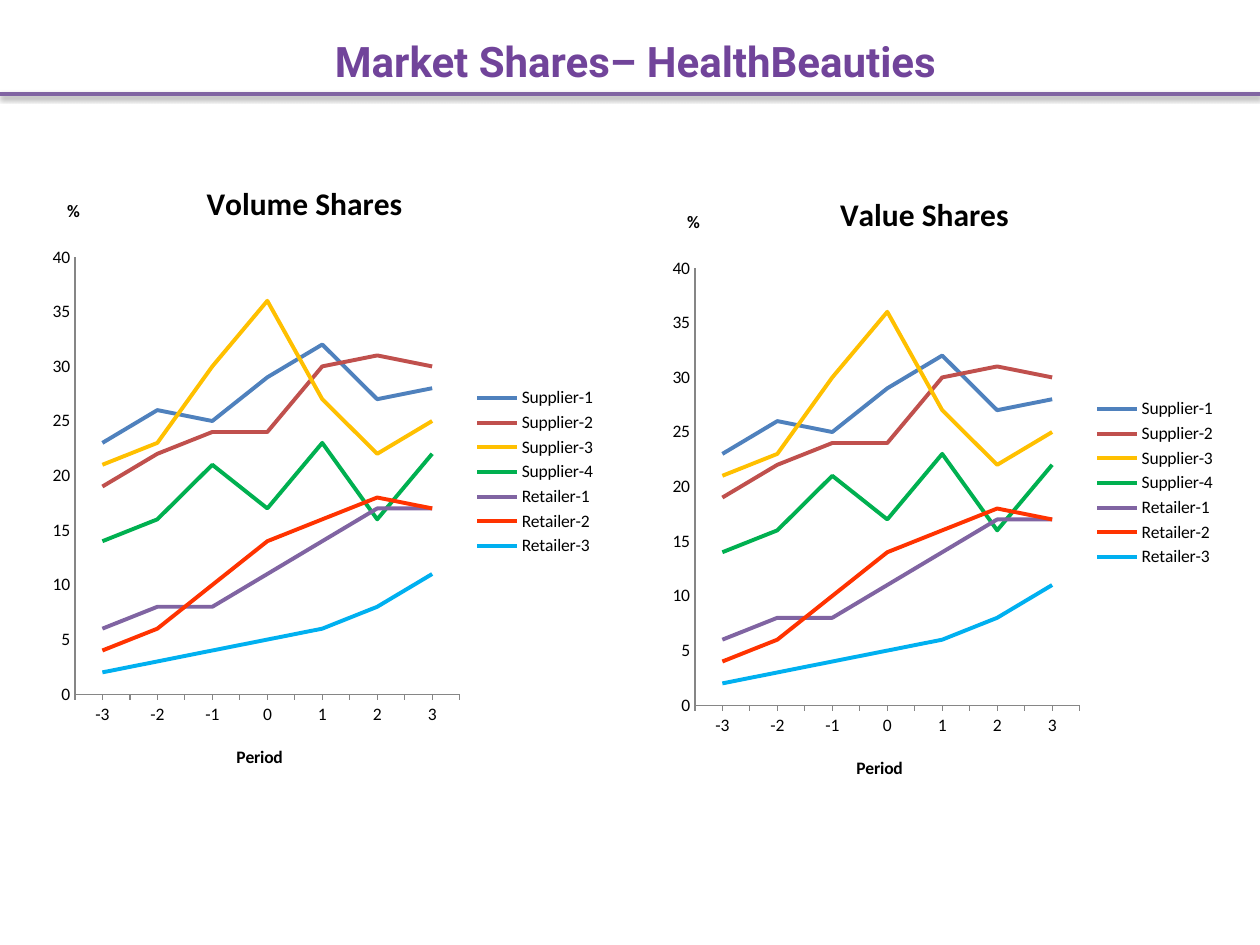
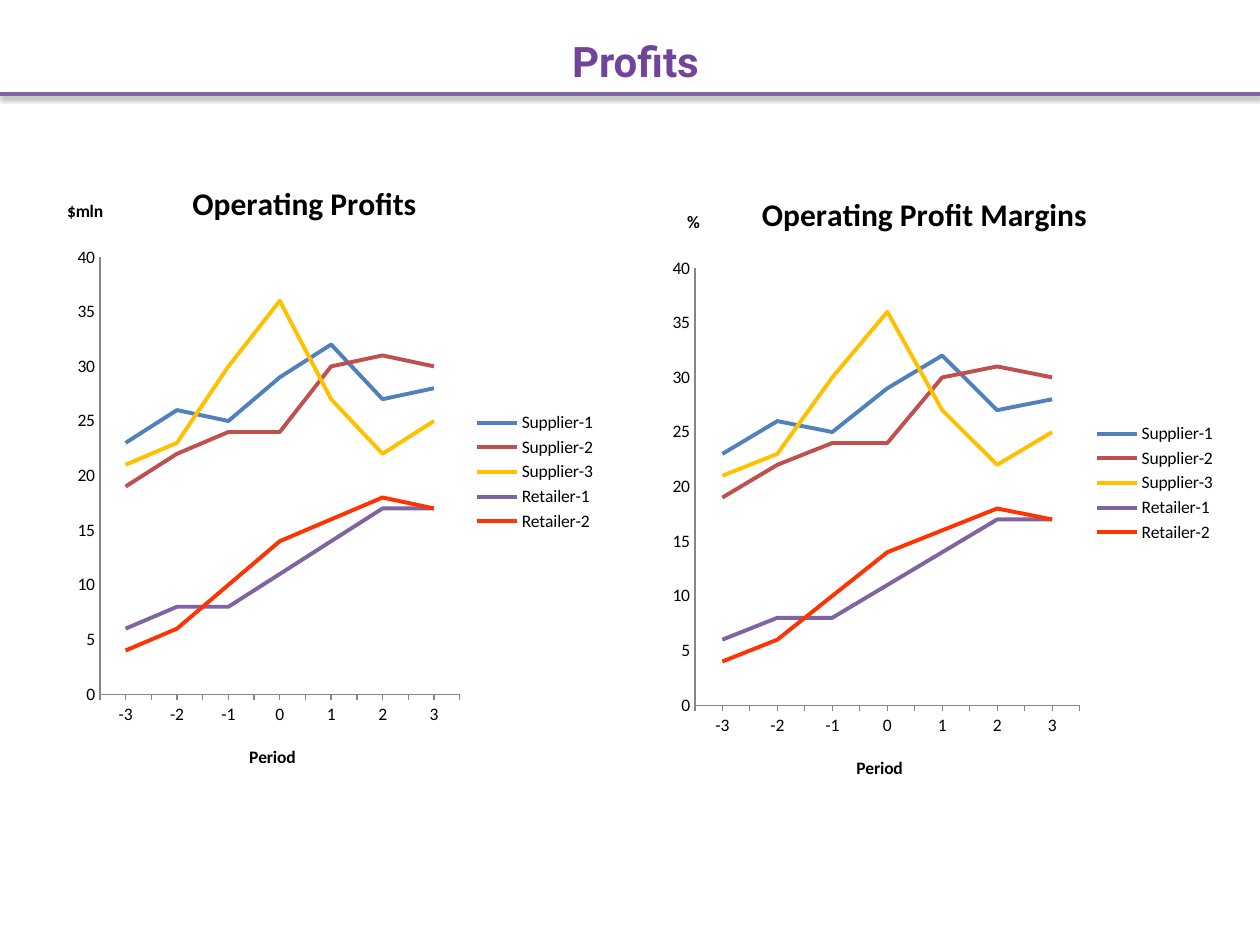
from lxml.etree import SubElement
from pptx import Presentation
from pptx.chart.data import CategoryChartData
from pptx.dml.color import RGBColor
from pptx.enum.chart import XL_CHART_TYPE, XL_LEGEND_POSITION, XL_TICK_MARK
from pptx.enum.shapes import MSO_CONNECTOR
from pptx.enum.text import MSO_ANCHOR, MSO_AUTO_SIZE, PP_ALIGN
from pptx.oxml.ns import qn
from pptx.util import Emu, Pt

PIXEL = 914400 // 126
SLIDE_W, SLIDE_H = 1260, 945

TITLE_PURPLE = RGBColor(0x71, 0x44, 0x9A)
RULE_PURPLE = RGBColor(0x80, 0x64, 0xA2)
AXIS_GREY = RGBColor(0x86, 0x86, 0x86)
BLACK = RGBColor(0, 0, 0)

PERIODS = [str(period) for period in range(-3, 4)]
SHARES = {
    "Supplier-1": (RGBColor(0x4F, 0x81, 0xBD), (23, 26, 25, 29, 32, 27, 28)),
    "Supplier-2": (RGBColor(0xC0, 0x50, 0x4D), (19, 22, 24, 24, 30, 31, 30)),
    "Supplier-3": (RGBColor(0xFF, 0xC0, 0x00), (21, 23, 30, 36, 27, 22, 25)),
    "Supplier-4": (RGBColor(0x00, 0xB0, 0x50), (14, 16, 21, 17, 23, 16, 22)),
    "Retailer-1": (RULE_PURPLE, (6, 8, 8, 11, 14, 17, 17)),
    "Retailer-2": (RGBColor(0xFF, 0x33, 0x00), (4, 6, 10, 14, 16, 18, 17)),
    "Retailer-3": (RGBColor(0x00, 0xB0, 0xF0), (2, 3, 4, 5, 6, 8, 11)),
}
PROFITS = {name: line for name, line in SHARES.items()
           if name not in ("Supplier-4", "Retailer-3")}

TITLE_BOX = (21, 6, 1229, 110)
LEFT_BOX = (0, 157, 609, 630)
RIGHT_BOX = (620, 168, 609, 630)
RULE_TOP = 94
PLOT_TOP, PLOT_RIGHT, PLOT_H = 100, 460, 437


def px(length):
    """Turn picture pixels into EMU."""
    return Emu(length * PIXEL)


def set_layout(element, index, box, **measures):
    """Give a chart part a manual layout; measures are pixels inside the box."""
    for old in element.findall(qn("c:layout")):
        element.remove(old)
    layout = element.makeelement(qn("c:layout"))
    element.insert(index, layout)
    manual = SubElement(layout, qn("c:manualLayout"))
    if "w" in measures:
        SubElement(manual, qn("c:layoutTarget")).set("val", "inner")
    for mode in ("xMode", "yMode"):
        SubElement(manual, qn("c:" + mode)).set("val", "edge")
    for key, pixels in measures.items():
        whole = box[2] if key in "xw" else box[3]
        SubElement(manual, qn("c:" + key)).set("val", f"{pixels / whole:.3f}")


def write_title(text_frame, text, size):
    """Write a bold black chart or axis title."""
    text_frame.text = text
    font = text_frame.paragraphs[0].font
    font.size, font.bold, font.name = Pt(size), True, "Calibri"
    font.color.rgb = BLACK


def place_axis(axis, label, box, x, y):
    """Style an axis and put its horizontal label at x, y in the box."""
    axis.has_major_gridlines = False
    axis.major_tick_mark = XL_TICK_MARK.NONE
    axis.format.line.color.rgb = AXIS_GREY
    axis.format.line.width = Pt(0.75)
    write_title(axis.axis_title.text_frame, label, 10)
    heading = axis.axis_title._element
    heading.find(".//" + qn("a:bodyPr")).set("rot", "0")
    set_layout(heading, 1, box, x=x, y=y)


def add_line_panel(slide, box, heading, unit, lines, plot_left=75):
    """Draw one line chart with its legend on the right."""
    data = CategoryChartData()
    data.categories = PERIODS
    for name, (_, values) in lines.items():
        data.add_series(name, values)
    chart = slide.shapes.add_chart(
        XL_CHART_TYPE.LINE, *map(px, box), data).chart
    chart.font.size, chart.font.name = Pt(10), "Calibri"
    chart.font.color.rgb = BLACK
    write_title(chart.chart_title.text_frame, heading, 18)
    chart.has_legend = True
    chart.legend.position = XL_LEGEND_POSITION.RIGHT
    chart.legend.include_in_layout = False

    plot_w = PLOT_RIGHT - plot_left
    place_axis(chart.category_axis, "Period", box,
               plot_left + plot_w // 2 - 34, 585)
    chart.category_axis.minor_tick_mark = XL_TICK_MARK.OUTSIDE
    value_axis = chart.value_axis
    place_axis(value_axis, unit, box, 64, 39)
    value_axis.minimum_scale, value_axis.maximum_scale = 0, 40
    value_axis.major_unit = 5
    set_layout(chart._chartSpace.chart.plotArea, 0, box,
               x=plot_left, y=PLOT_TOP, w=plot_w, h=PLOT_H)

    chart.plots[0].vary_by_categories = False
    for series, (color, _) in zip(chart.plots[0].series, lines.values()):
        series.smooth = False
        series.format.line.color.rgb = color
        series.format.line.width = Pt(2.25)


def add_rule(slide):
    """Draw the purple rule under the title, with its soft shadow."""
    rule = slide.shapes.add_connector(
        MSO_CONNECTOR.STRAIGHT, 0, px(RULE_TOP), px(SLIDE_W), px(RULE_TOP))
    rule.line.color.rgb = RULE_PURPLE
    rule.line.width = Pt(2)
    effects = SubElement(rule._element.spPr, qn("a:effectLst"))
    shadow = SubElement(effects, qn("a:outerShdw"), blurRad="40000",
                        dist="20000", dir="5400000", rotWithShape="0")
    tint = SubElement(shadow, qn("a:srgbClr"), val="000000")
    SubElement(tint, qn("a:alpha"), val="38000")


def place_title(slide, text):
    """Move and format the title placeholder."""
    title = slide.shapes.title
    title.left, title.top, title.width, title.height = map(px, TITLE_BOX)
    frame = title.text_frame
    frame.text = text
    frame.word_wrap = True
    frame.auto_size = MSO_AUTO_SIZE.NONE
    frame.vertical_anchor = MSO_ANCHOR.MIDDLE
    paragraph = frame.paragraphs[0]
    paragraph.alignment = PP_ALIGN.CENTER
    font = paragraph.font
    font.size, font.bold, font.name = Pt(24), True, "Roboto"
    font.color.rgb = TITLE_PURPLE


def add_titled_slide(deck, text):
    """Add a slide with the shared title and rule."""
    slide = deck.slides.add_slide(deck.slide_layouts[5])
    place_title(slide, text)
    add_rule(slide)
    return slide


def main():
    """Build the two slides and save them."""
    deck = Presentation()
    deck.slide_width, deck.slide_height = px(SLIDE_W), px(SLIDE_H)

    shares = add_titled_slide(deck, "Market Shares– HealthBeauties")
    add_line_panel(shares, LEFT_BOX, "Volume Shares", "%", SHARES)
    add_line_panel(shares, RIGHT_BOX, "Value Shares", "%", SHARES)

    profits = add_titled_slide(deck, "Profits")
    add_line_panel(profits, LEFT_BOX, "Operating Profits", "$mln", PROFITS,
                   plot_left=100)
    add_line_panel(profits, RIGHT_BOX, "Operating Profit Margins", "%", PROFITS)

    deck.save("out.pptx")


main()
